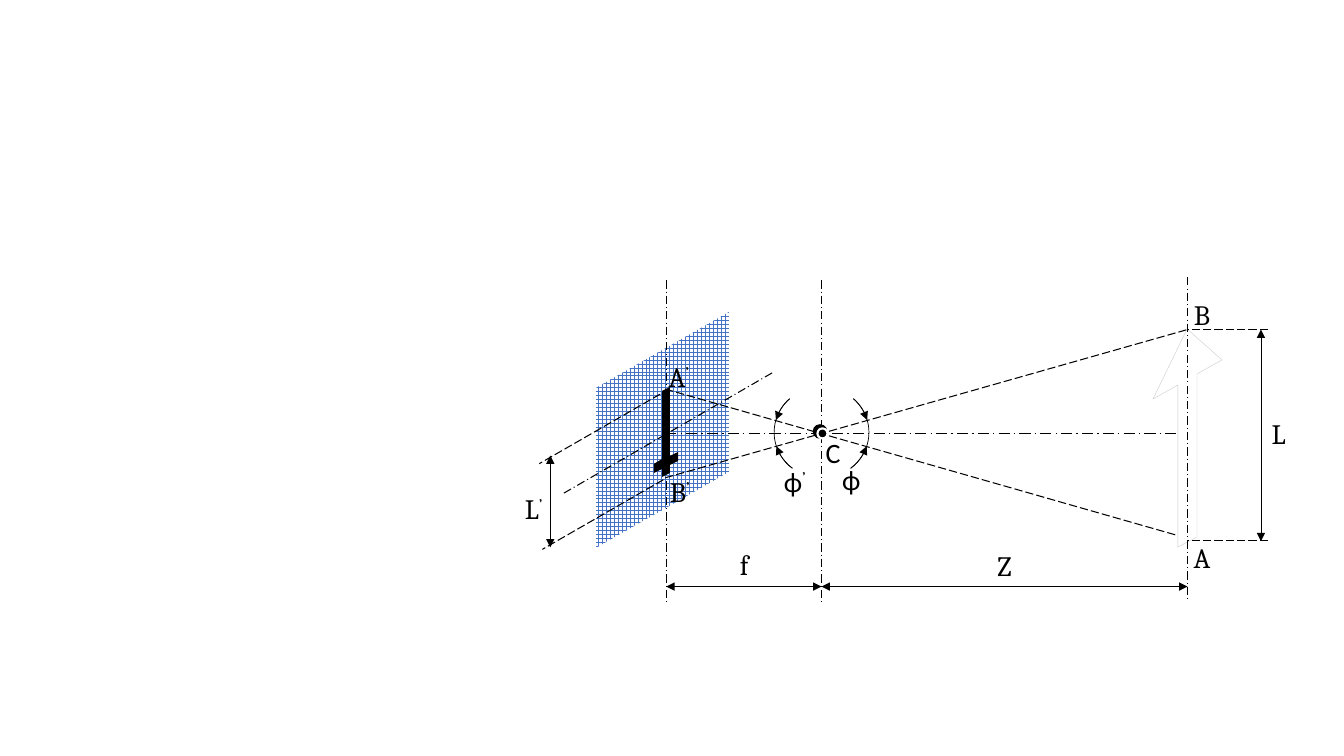
from pptx import Presentation
from pptx.dml.color import RGBColor
from pptx.enum.dml import MSO_LINE, MSO_PATTERN
from pptx.enum.shapes import MSO_CONNECTOR, MSO_SHAPE
from pptx.enum.text import MSO_ANCHOR, PP_ALIGN
from pptx.oxml.ns import qn
from pptx.util import Pt
from lxml import etree

DASH, DASH_DOT = MSO_LINE.LONG_DASH, MSO_LINE.LONG_DASH_DOT
LARGE_GRID = MSO_PATTERN.LARGE_GRID
STRAIGHT = MSO_CONNECTOR.STRAIGHT
ARC, OVAL = MSO_SHAPE.ARC, MSO_SHAPE.OVAL
MIDDLE, CENTER = MSO_ANCHOR.MIDDLE, PP_ALIGN.CENTER


def colour(value):
    return RGBColor.from_string(value)


class Diagram:
    serif, sans = "Cambria", "Calibri"
    ink, paper, grid, faint = "000000", "FFFFFF", "4472C4", "C8C8C8"
    text_size = 20

    def __init__(self, page):
        self.shapes = page.shapes

    def stroke(self, shape, shade, width, dash=None, ends=()):
        shape.line.color.rgb = colour(shade)
        shape.line.width = Pt(width)
        if dash:
            shape.line.dash_style = dash
        outline = shape.line._get_or_add_ln()
        for end in ends:
            etree.SubElement(outline, qn("a:" + end), type="triangle")

    def line(self, x1, y1, x2, y2, dash, width=0.75, ends=()):
        line = self.shapes.add_connector(STRAIGHT, Pt(x1), Pt(y1), Pt(x2), Pt(y2))
        etree.SubElement(line.element.spPr, qn("a:effectLst"))
        self.stroke(line, self.ink, width, dash, ends)

    def dimension(self, x1, y1, x2, y2):
        self.line(x1, y1, x2, y2, None, 0.5, ("headEnd", "tailEnd"))

    def outline(self, points):
        corners = [(Pt(x), Pt(y)) for x, y in points]
        builder = self.shapes.build_freeform(*corners[0])
        builder.add_line_segments(corners[1:], close=True)
        shape = builder.convert_to_shape()
        shape.shadow.inherit = False
        shape.line.fill.background()
        return shape

    def sensor(self, points):
        fill = self.outline(points).fill
        fill.patterned()
        fill.pattern = LARGE_GRID
        fill.fore_color.rgb = colour(self.grid)
        fill.back_color.rgb = colour(self.paper)

    def solid(self, points, shade, edge=None):
        shape = self.outline(points)
        shape.fill.solid()
        shape.fill.fore_color.rgb = colour(shade)
        if edge:
            self.stroke(shape, edge, 0.25)

    def dot(self, x, y, size, ring=None):
        shape = self.shapes.add_shape(OVAL, Pt(x), Pt(y), Pt(size), Pt(size))
        shape.shadow.inherit = False
        shape.fill.solid()
        shape.fill.fore_color.rgb = colour(self.ink)
        if ring:
            self.stroke(shape, ring, 1.5)
        else:
            shape.line.fill.background()

    def arc(self, x, start, stop, ends, mirrored):
        shape = self.shapes.add_shape(ARC, Pt(x), Pt(276.5), Pt(67), Pt(64.8))
        shape.shadow.inherit = False
        shape.fill.background()
        shape.adjustments[0], shape.adjustments[1] = start, stop
        if mirrored:
            shape.element.spPr.find(qn("a:xfrm")).set("flipH", "1")
        self.stroke(shape, self.ink, 0.5, None, ends)

    def label(self, x, y, text, prime=False, font=serif, width=25.2):
        box = self.shapes.add_textbox(Pt(x), Pt(y), Pt(width), Pt(34.6))
        frame = box.text_frame
        frame.word_wrap = True
        frame.vertical_anchor = MIDDLE
        frame.margin_left = frame.margin_right = 0
        frame.margin_top = frame.margin_bottom = 0
        para = frame.paragraphs[0]
        para.alignment = CENTER
        para.space_after = Pt(6)
        self.span(para, text, font)
        if prime:
            self.span(para, "’", self.serif).set("baseline", "30000")

    def span(self, para, text, font):
        span = para.add_run()
        span.text = text
        span.font.name = font
        span.font.size = Pt(self.text_size)
        span.font.color.rgb = colour(self.ink)
        return span.font._element


def build():
    deck = Presentation()
    deck.slide_width, deck.slide_height = Pt(960), Pt(540)
    page = deck.slides.add_slide(deck.slide_layouts[6])
    diagram = Diagram(page)
    sensor_x, lens_x, object_x = 475.9, 586.8, 848.2
    axis_y, top_y, base_y = 309.6, 235.4, 385.9

    diagram.sensor([(425.7, 277.1), (520.7, 222.9), (520.7, 337.1), (425.7, 391.4)])
    diagram.line(475.2, axis_y, object_x, axis_y, DASH_DOT, 1)
    diagram.line(475.2, 341.3, object_x, top_y, DASH)
    diagram.solid([(472.9, 279.3), (478.6, 276.4), (478.6, 325.7), (484.3, 322.9),
                   (484.3, 329.3), (478.6, 332.1), (478.6, 337.9), (472.9, 340.7),
                   (472.9, 335), (467.1, 337.9), (467.1, 331.4), (472.9, 327.9)],
                  diagram.ink)
    diagram.line(475.2, 277.9, object_x, 384.5, DASH)
    diagram.solid([(847.9, 235), (872.9, 257.1), (855, 267.1), (855, 383.6),
                   (841.4, 390.7), (841.4, 275), (823.6, 285)],
                  diagram.paper, diagram.faint)

    for x, y in ((sensor_x, 200.2), (lens_x, 200.2), (object_x, 198)):
        diagram.line(x, y, x, y + 231.8, DASH_DOT)
    diagram.line(551.5, 266.4, 401.8, 352.8, DASH_DOT)
    for y in (top_y, base_y):
        diagram.line(905.8, y, object_x, y, DASH)
    for x, y in ((471.6, 281.5), (473.8, 342.7)):
        diagram.line(x, y, x - 86.4, y + 49.7, DASH)

    diagram.dimension(sensor_x, 419, lens_x, 419)
    diagram.dimension(lens_x, 419, object_x, 419)
    diagram.dimension(900.7, top_y, 900.7, 386.6)
    diagram.dimension(393.1, 325.4, 393.1, 391)

    diagram.dot(580.5, 303, 10.5)
    diagram.dot(583.9, 306, 7.2, diagram.paper)

    for x, mirrored in ((553, False), (553.7, True)):
        for start, stop, ends in ((77.16, 136.22, ()),
                                  (77.16, 97.62, ("tailEnd",)),
                                  (117.23, 136.22, ("headEnd",))):
            diagram.arc(x, start, stop, ends, mirrored)

    for x, y, text, prime in ((519.1, 385.9, "f", False), (704.9, 386.6, "Z", False),
                              (900.7, 292.3, "L", False), (368.6, 345.6, "L", True),
                              (473, 333.4, "B", True), (472.3, 251.3, "A", True),
                              (846, 380.9, "A", False), (846, 207.4, "B", False)):
        diagram.label(x, y, text, prime)
    diagram.label(582.5, 306, "C", font=diagram.sans)
    diagram.label(586.8, 324.7, "ϕ", font=diagram.sans, width=42.5)
    diagram.label(555.1, 326.2, "ϕ", True, diagram.sans)
    deck.save("out.pptx")


if __name__ == "__main__":
    build()
